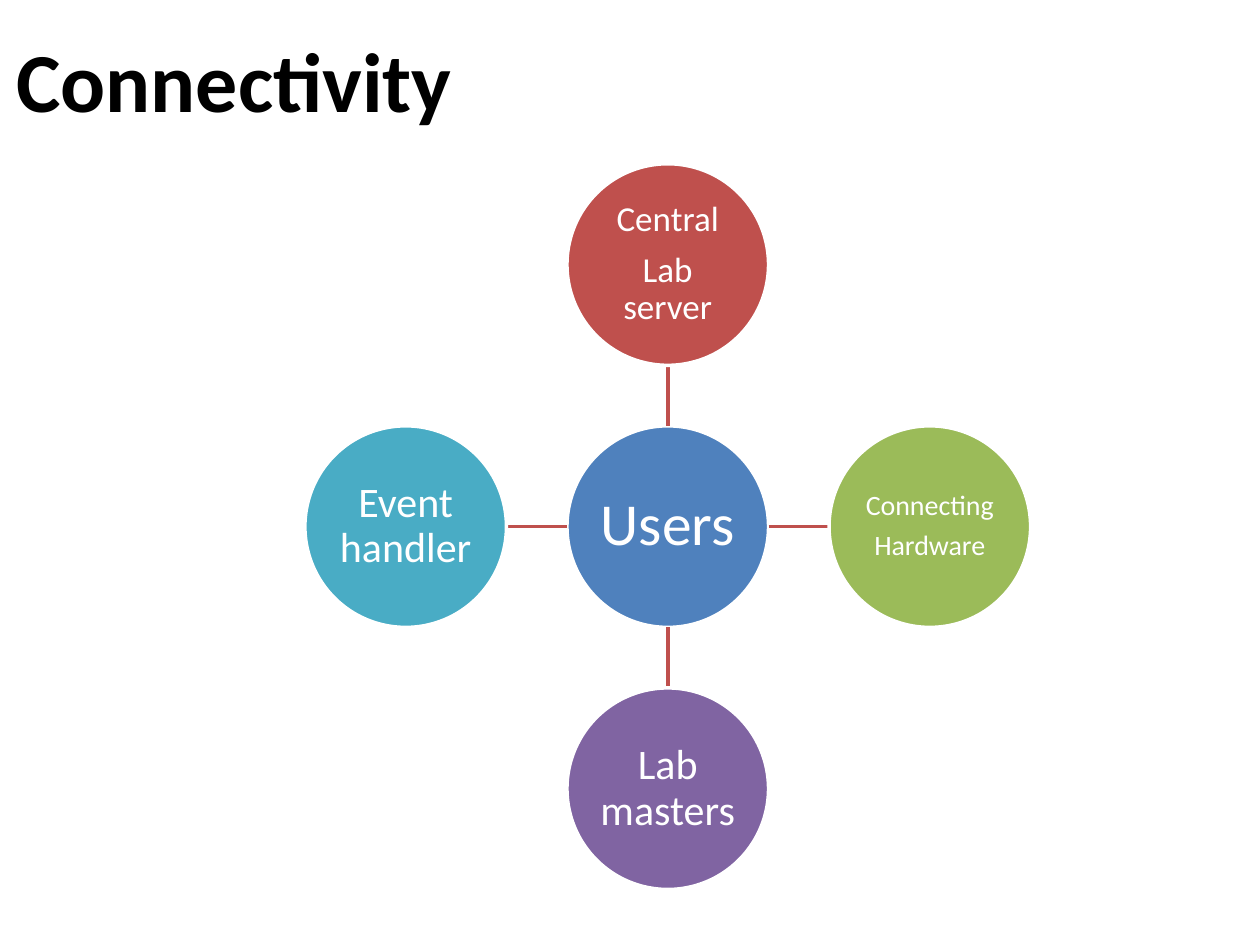
"""Build the Connectivity slide: users at the hub of four linked circles."""
from lxml.etree import SubElement
from pptx import Presentation
from pptx.dml.color import RGBColor
from pptx.enum.shapes import MSO_CONNECTOR, MSO_SHAPE
from pptx.enum.text import MSO_ANCHOR as ANCHOR, PP_ALIGN as ALIGN
from pptx.oxml.ns import qn
from pptx.util import Inches, Pt

COLORS = {"blue": "4F81BD", "red": "BF504D", "green": "9BBB59",
          "purple": "8064A2", "teal": "49ACC5", "white": "FFFFFF", "black": "000000"}
FONT = "Calibri"
TITLE = "Connectivity"
HUB = (["Users"], 34, "blue", 0.02)
SPOKES = [
    ((0, -1), (["Central", "Lab server"], 20, "red", 0.01)),
    ((1, 0), (["Connecting", "Hardware"], 16, "green", 0.01)),
    ((0, 1), (["Lab masters"], 24, "purple", 0.02)),
    ((-1, 0), (["Event handler"], 24, "teal", 0.02)),
]
CX, CY = 5.3, 4.18
RADIUS, REACH = 0.8, 2.08


def rgb(name):
    return RGBColor.from_string(COLORS[name])


def style(p, size, color):
    p.font.name, p.font.size = FONT, Pt(size)
    p.font.color.rgb = rgb(color)


def add_title(s):
    sp = s.shapes.title
    sp.left, sp.top, sp.width, sp.height = map(Inches, (0.03, 0.18, 5.28, 0.91))
    tf = sp.text_frame
    tf.text, tf.vertical_anchor = TITLE, ANCHOR.TOP
    p = tf.paragraphs[0]
    p.alignment, p.font.bold = ALIGN.LEFT, True
    style(p, 48, "black")


def add_circle(s, x, y, lines, size, color, inset):
    sp = s.shapes.add_shape(MSO_SHAPE.OVAL, Inches(x - RADIUS), Inches(y - RADIUS),
                            Inches(2 * RADIUS), Inches(2 * RADIUS))
    sp.shadow.inherit = False
    sp.fill.solid()
    sp.fill.fore_color.rgb = rgb(color)
    sp.line.color.rgb, sp.line.width = rgb("white"), Pt(2)
    tf = sp.text_frame
    tf.word_wrap, tf.vertical_anchor = True, ANCHOR.MIDDLE
    tf.margin_left = tf.margin_right = tf.margin_top = tf.margin_bottom = Inches(inset)
    tf.text = "\n".join(lines)
    for i, p in enumerate(tf.paragraphs):
        p.alignment, p.line_spacing = ALIGN.CENTER, 0.9
        p.space_before = Pt(0.35 * size if i else 0)
        style(p, size, "white")


def add_link(s, dx, dy):
    ends = [v for d in (RADIUS, REACH - RADIUS) for v in (CX + d * dx, CY + d * dy)]
    link = s.shapes.add_connector(MSO_CONNECTOR.STRAIGHT, *map(Inches, ends))
    link.line.color.rgb, link.line.width = rgb("red"), Pt(2)
    SubElement(link._element.spPr, qn("a:effectLst"))


def main():
    prs = Presentation()
    prs.slide_width, prs.slide_height = Inches(10), Inches(7.5)
    s = prs.slides.add_slide(prs.slide_layouts[5])
    add_title(s)
    add_circle(s, CX, CY, *HUB)
    for (dx, dy), circle in SPOKES:
        add_link(s, dx, dy)
        add_circle(s, CX + REACH * dx, CY + REACH * dy, *circle)
    prs.save("out.pptx")


if __name__ == "__main__":
    main()
